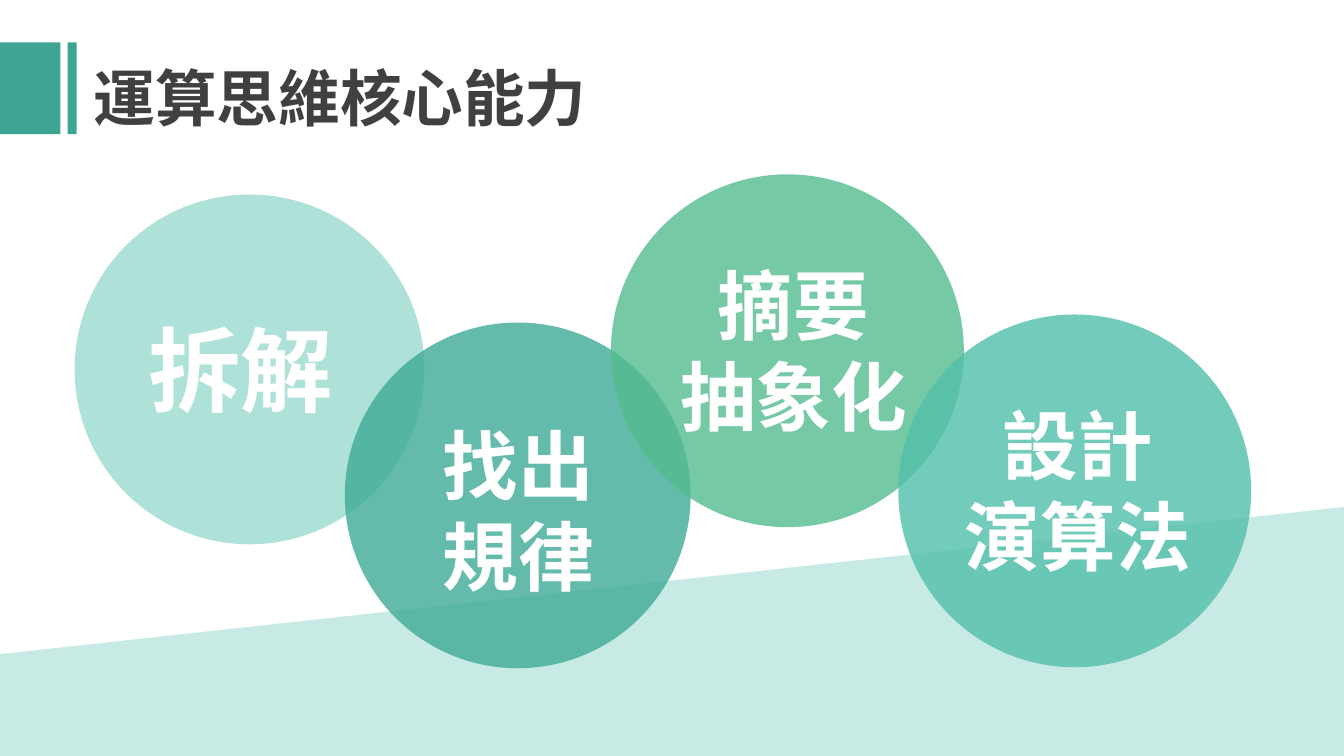
from lxml import etree
from pptx import Presentation, util as u
from pptx.dml.color import RGBColor
from pptx.enum import shapes, text
from pptx.oxml import ns

Inches = u.Inches
FONT = "Noto Sans CJK SC"
COLORS = {
    "white": "FFFFFF", "title": "404040", "tab": "3DA591", "slope": "8CD4C6",
    "mint": "9ADACE", "teal": "3FAB96", "green": "53BC8E", "aqua": "51BFAA",
}

# Circle: left, top, diameter, colour; label: box, size, alignment, lines
ABILITIES = [
    ((0.74, 1.93, 3.47, "mint"), (1.37, 2.99, 2.33, 1.21), 66, "LEFT", ["拆解"]),
    ((3.42, 3.2, 3.43, "teal"), (4.08, 4.04, 2.12, 1.92), 54, "CENTER", ["找出", "規律"]),
    ((6.06, 1.73, 3.5, "green"), (6.31, 2.45, 3.12, 1.92), 54, "CENTER", ["摘要", "抽象化"]),
    ((8.91, 3.12, 3.5, "aqua"), (9.4, 3.84, 2.58, 1.92), 54, "CENTER", ["設計", "演算法"]),
]


def paint(shape, color, opacity=100):
    shape.shadow.inherit = False
    shape.line.fill.background()
    shape.fill.solid()
    shape.fill.fore_color.rgb = RGBColor.from_string(COLORS[color])
    if opacity < 100:
        tint = shape._element.spPr.find(".//" + ns.qn("a:srgbClr"))
        etree.SubElement(tint, ns.qn("a:alpha")).set("val", str(opacity * 1000))


def add_preset(container, kind, box, color, opacity=100):
    shape = container.add_shape(kind, *map(Inches, box))
    paint(shape, color, opacity)


def add_label(container, box, lines, size, color, alignment="LEFT"):
    frame = container.add_textbox(*map(Inches, box)).text_frame
    frame.word_wrap = True
    frame.margin_top = Inches(0.12)
    frame.vertical_anchor = text.MSO_ANCHOR.TOP
    for index, line in enumerate(lines):
        paragraph = frame.paragraphs[0] if index == 0 else frame.add_paragraph()
        paragraph.alignment = text.PP_ALIGN[alignment]
        paragraph.line_spacing = u.Pt(size * 1.2)
        run = paragraph.add_run()
        run.text = line
        for name, value in {"name": FONT, "size": u.Pt(size), "bold": True}.items():
            setattr(run.font, name, value)
        run.font.color.rgb = RGBColor.from_string(COLORS[color])
        # Chinese characters take the East Asian typeface
        properties = run._r.get_or_add_rPr()
        etree.SubElement(properties, ns.qn("a:ea")).set("typeface", FONT)


def add_slope(slide):
    corners = [(0, 6.49), (13.33, 5.03), (13.33, 7.5), (0, 7.5)]
    start, *others = [(Inches(x), Inches(y)) for x, y in corners]
    builder = slide.shapes.build_freeform(*start)
    builder.add_line_segments(others)
    paint(builder.convert_to_shape(), "slope", 47)


def add_heading(slide):
    tabs = slide.shapes.add_group_shape().shapes
    for left, width in [(0, 0.6), (0.67, 0.09)]:
        add_preset(tabs, shapes.MSO_SHAPE.RECTANGLE, (left, 0.42, width, 0.91), "tab")
    add_label(slide.shapes, (0.83, 0.47, 5.72, 0.84), ["運算思維核心能力"], 44, "title")


def add_ability(slide, circle, box, size, alignment, lines):
    left, top, diameter, color = circle
    group = slide.shapes.add_group_shape().shapes
    add_preset(group, shapes.MSO_SHAPE.OVAL, (left, top, diameter, diameter), color, 80)
    add_label(group, box, lines, size, "white", alignment)


def main():
    presentation = Presentation()
    presentation.slide_width = Inches(13.33)
    presentation.slide_height = Inches(7.5)
    slide = presentation.slides.add_slide(presentation.slide_layouts[6])

    # Background and heading
    add_slope(slide)
    add_heading(slide)

    # Overlapping circles
    for ability in ABILITIES:
        add_ability(slide, *ability)

    presentation.save("out.pptx")


if __name__ == "__main__":
    main()
